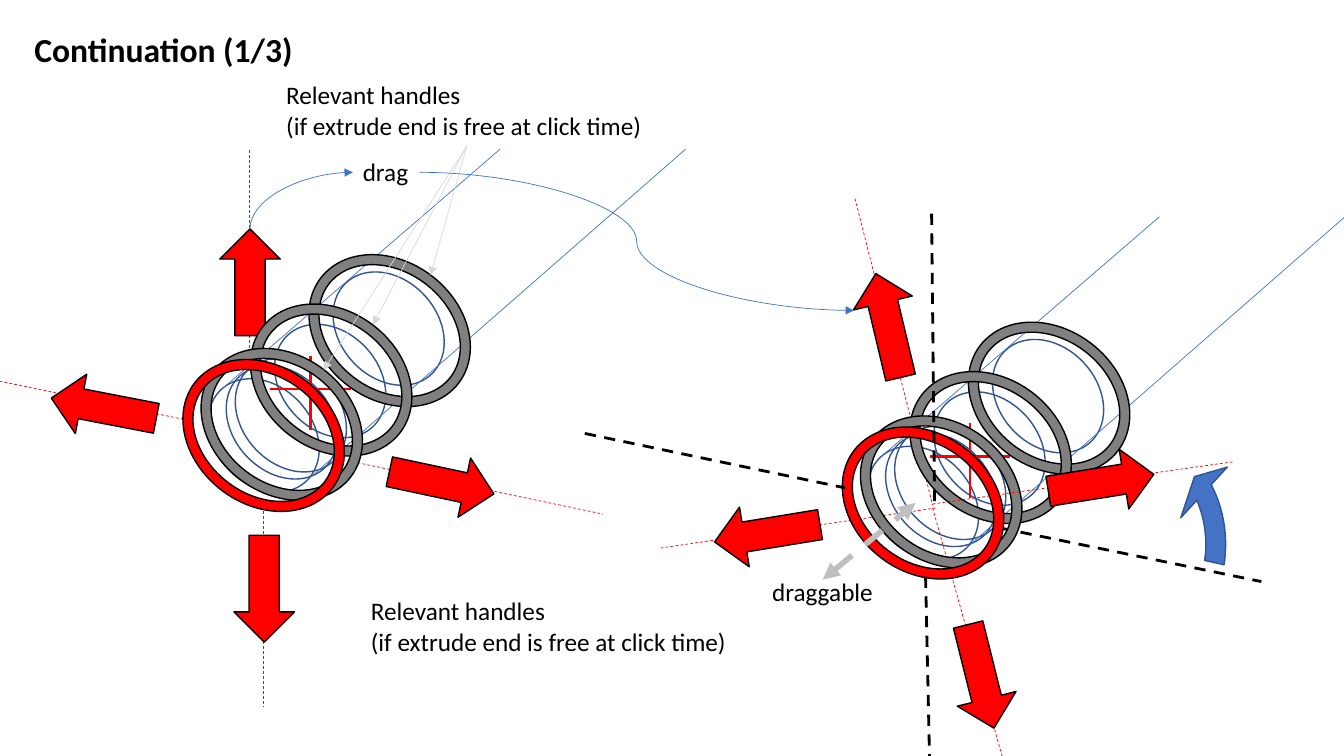
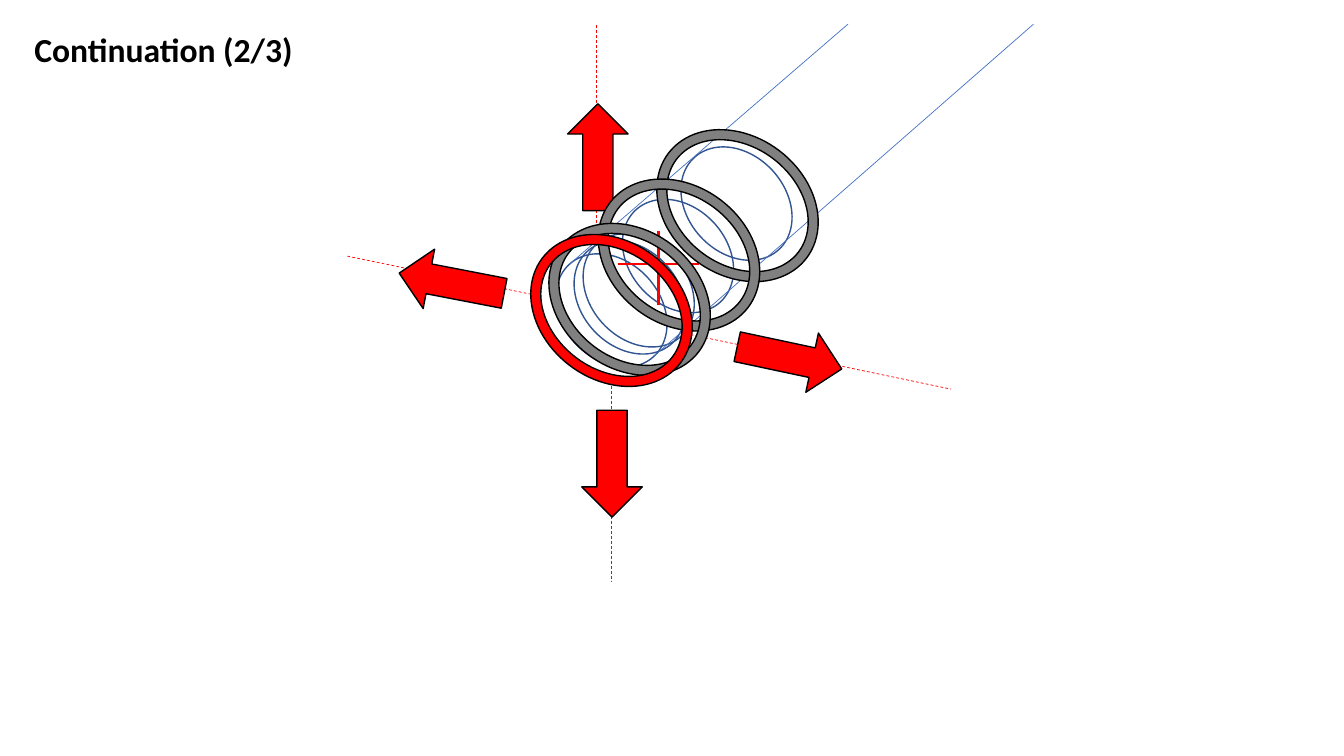
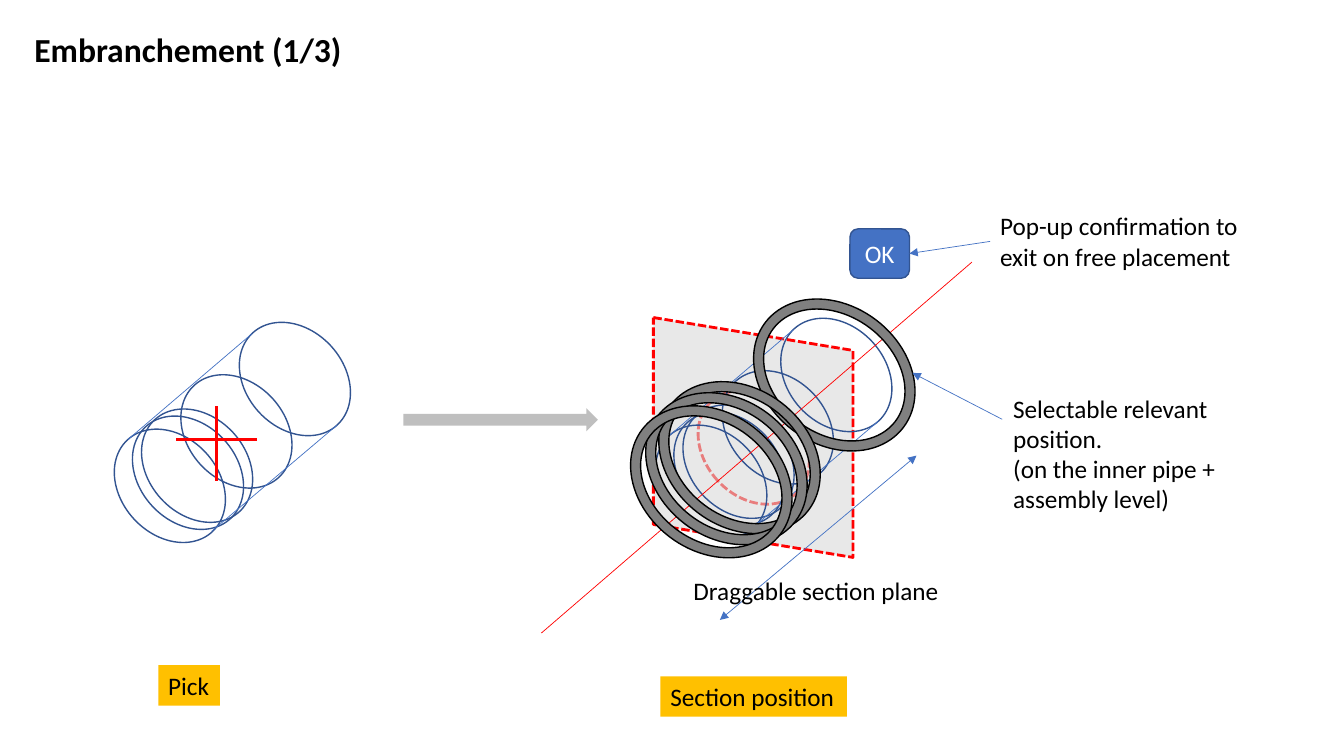
import pptx
import pptx.util
import pptx.dml.color
import pptx.enum.dml
import pptx.enum.shapes
import pptx.enum.text
import pptx.oxml.ns
import lxml.etree

PX = 9144  # one px is a hundredth of an inch
FONT = "Calibri"
INK = {
    "black": "000000", "white": "FFFFFF", "red": "FF0000", "gray": "808080",
    "silver": "BFBFBF", "pale": "D9D9D9", "blue": "4472C4", "navy": "325491",
    "amber": "FFC000",
}
qn = pptx.oxml.ns.qn
rgb = pptx.dml.color.RGBColor.from_string
kinds = pptx.enum.shapes.MSO_SHAPE
links = pptx.enum.shapes.MSO_CONNECTOR
dashes = pptx.enum.dml.MSO_LINE
align = pptx.enum.text.PP_ALIGN
anchor = pptx.enum.text.MSO_ANCHOR
fit = pptx.enum.text.MSO_AUTO_SIZE


def draw(host, kind, at, fill=None, line=None, width=1, dash=None, rot=0, adj=(), ends=()):
    """Add a connector (at: x1, y1, x2, y2) or a shape (at: x, y, w, h)."""
    place = [v * PX for v in at]
    if kind in (links.STRAIGHT, links.CURVE):
        item = host.add_connector(kind, *place)
    else:
        item = host.add_shape(kind, *place)
        item.shadow.inherit = False
        item.rotation = rot
        for i, value in enumerate(adj):
            item.adjustments[i] = value
        if fill:
            item.fill.solid()
            item.fill.fore_color.rgb = rgb(INK[fill])
        else:
            item.fill.background()
    if line:
        item.line.color.rgb = rgb(INK[line])
        item.line.width = pptx.util.Pt(width)
        if dash:
            item.line.dash_style = dash
    else:
        item.line.fill.background()
    props = item.element.spPr
    for end in ends:
        lxml.etree.SubElement(props.find(qn("a:ln")), qn("a:" + end), type="triangle")
    if kind in (links.STRAIGHT, links.CURVE):
        lxml.etree.SubElement(props, qn("a:effectLst"))
    return item


def write(text, host=None, box=None, at=None, size=18, color="black", bold=False,
          side=align.LEFT, level=anchor.TOP, wrap=False, grow=True, fill=None):
    """Put text into a given box, or into a new text box on host."""
    if box is None:
        box = host.add_textbox(0, 0, 0, 0)
    frame = box.text_frame
    frame.text = text
    frame.word_wrap = wrap
    frame.auto_size = fit.SHAPE_TO_FIT_TEXT if grow else fit.NONE
    frame.vertical_anchor = level
    if at:
        box.left, box.top, box.width, box.height = [v * PX for v in at]
    if fill:
        box.fill.solid()
        box.fill.fore_color.rgb = rgb(INK[fill])
    for para in frame.paragraphs:
        para.alignment = side
        font = para.runs[0].font
        font.name, font.size, font.bold = FONT, pptx.util.Pt(size), bold
        font.color.rgb = rgb(INK[color])
    return box


deck = pptx.Presentation()
deck.slide_width, deck.slide_height = 1333 * PX, 750 * PX

# Slides and titles
pages = []
for text, wide in (("Continuation (1/3)", 287), ("Continuation (2/3)", 280),
                   ("Embranchement (1/3)", 328)):
    page = deck.slides.add_slide(deck.slide_layouts[5])
    write(text, box=page.shapes.title, at=(24, 24, wide, 50), size=24, bold=True)
    pages.append(page.shapes)
first, second, third = pages

# Parts behind the pipes: guide line and section plane
draw(first, links.STRAIGHT, (993, 524, 1251, 577), line="black", width=2, dash=dashes.DASH)
draw(third, kinds.OVAL, (699, 382, 97, 124), line="red", width=2,
     dash=dashes.SQUARE_DOT, rot=317.4)
plane = draw(third, kinds.PARALLELOGRAM, (628, 335, 238, 198), fill="pale", line="red",
             width=2, dash=dashes.SQUARE_DOT, rot=90, adj=[0.165])
tint = plane.element.spPr.find(qn("a:solidFill"))[0]
lxml.etree.SubElement(tint, qn("a:alpha"), val="58000")

# Pipe parts, all measured from the pipe's own corner
ovals = [(0, 0), (124, -106), (18, -13), (27, -20), (66, -54)]
long = [(7, 16, 283, -222), (91, 107, 467, -222)]
short = [(7, 16, 130, -89), (90, 107, 214, 2)]
cross = [(95, -17, 95, 57), (55, 16, 135, 16)]
rings = [(105, -128, "gray"), (47, -79, "gray"), (-2, -35, "gray"), (-20, -24, "red")]
stack = [(102, -130, "gray"), (8, -48, "gray"), (-5, -37, "gray"), (-20, -24, "gray")]
rays = [(48, 127, 48, 331), (34, -221, 34, -17), (127, 86, 385, 140), (-31, 46, -214, 8)]
turned = [(58, 67, 133, 335), (-19, -240, 58, 64), (61, 67, -214, 107)]
axis = [(-120, 212, 307, -156)]
pulls = [(5, -143, 0), (19, 161, 180), (195, 56, 102), (-140, -18, 280.9)]
tilted = [(-16, -167, 346.6), (76, 181, 166), (-136, 39, 260.7)]

# Slide, corner, walls, cross, rays, ray dash, pull arrows, rings
scenes = [
    (first, 867, 437, long, cross, turned, dashes.DASH, tilted, rings),
    (first, 213, 370, long, cross, rays, dashes.DASH, pulls, rings),
    (second, 558, 246, long, cross, rays, dashes.DASH, pulls, rings),
    (third, 120, 420, short, cross, [], None, [], []),
    (third, 657, 416, short, [], axis, None, [], stack),
]
for page, x, y, walls, marks, beams, dash, arrows, hoops in scenes:
    pipe = page.add_group_shape().shapes if walls is short else page
    for dx, dy in ovals:
        draw(pipe, kinds.OVAL, (x + dx, y + dy, 97, 124), line="navy", rot=317.4)
    for group, host, color, width, style in ((walls, pipe, "blue", 0.5, None),
                                             (marks, pipe, "red", 2, None),
                                             (beams, page, "red", 0.5, dash)):
        for a, b, c, d in group:
            draw(host, links.STRAIGHT, (x + a, y + b, x + c, y + d),
                 line=color, width=width, dash=style)
    for dx, dy, rot in arrows:
        draw(page, kinds.UP_ARROW, (x + dx, y + dy, 60, 106), fill="red", line="black", rot=rot)
    for dx, dy, color in hoops:
        draw(page, kinds.DONUT, (x + dx, y + dy, 137, 172), fill=color, line="black",
             rot=307.2, adj=[0.073])

# Slide 1: turned handle, guides and the drag along the pipe
draw(first, links.STRAIGHT, (816, 575, 908, 499), line="silver", width=4,
     dash=dashes.DASH, ends=("headEnd", "tailEnd"))
write("draggable", first, at=(756, 567, 121, 40))
draw(first, links.STRAIGHT, (925, 500, 1224, 458), line="red", width=0.5, dash=dashes.DASH)
draw(first, kinds.UP_ARROW, (1062, 426, 60, 106), fill="red", line="black", rot=80.9)
turn = draw(first, kinds.CIRCULAR_ARROW, (1006, 405, 234, 270), fill="blue", line="navy",
            adj=[0.084, 6.939, 129.486, 100.459, 0.146])
turn.element.spPr.find(qn("a:xfrm")).set("flipH", "1")
for at in ((580, 430, 838, 484), (918, 572, 922, 754), (924, 212, 927, 501)):
    draw(first, links.STRAIGHT, at, line="black", width=2, dash=dashes.DASH)

# Slide 1: notes and pointers
for x, y in ((274, 74), (358, 586)):
    write("Relevant handles\n(if extrude end is free at click time)", first, at=(x, y, 377, 71))
for x, y in ((370, 322), (427, 273), (321, 367)):
    draw(first, links.STRAIGHT, (463, 145, x, y), line="pale", width=0.5, ends=["tailEnd"])
write("drag", first, at=(350, 150, 66, 40))
bend = draw(first, links.CURVE, (350, 171, 248, 227), line="blue", width=0.5, ends=["headEnd"])
bend.element.spPr.find(qn("a:prstGeom")).set("prst", "curvedConnector2")
draw(first, links.CURVE, (416, 171, 847, 308), line="blue", width=0.5, ends=["tailEnd"])

# Slide 3: section plane drag and step labels
draw(third, links.STRAIGHT, (714, 615, 909, 452), line="blue", width=0.5,
     ends=("headEnd", "tailEnd"))
write("Draggable section plane", third, at=(678, 566, 266, 40))
draw(third, kinds.RIGHT_ARROW, (400, 405, 193, 23), fill="silver")
write("Pick", third, at=(157, 660, 61, 40), fill="amber")
write("Section position", third, at=(655, 671, 185, 40), fill="amber")

# Slide 3: confirmation button and notes
ok = draw(third, kinds.ROUNDED_RECTANGLE, (843, 227, 59, 49), fill="blue", line="navy")
write("OK", box=ok, color="white", side=align.CENTER, level=anchor.MIDDLE, wrap=True, grow=False)
note = write("Pop-up confirmation to exit on free placement", third,
             at=(982, 204, 261, 71), wrap=True)
link = draw(third, links.STRAIGHT, (982, 239, 902, 252), line="blue", width=0.5, ends=["tailEnd"])
link.begin_connect(note, 1)
link.end_connect(ok, 3)
draw(third, links.STRAIGHT, (994, 416, 905, 370), line="blue", width=0.5, ends=["tailEnd"])
write("Selectable relevant position.\n(on the inner pipe + assembly level)", third,
      at=(995, 385, 261, 131), wrap=True)

deck.save("out.pptx")
